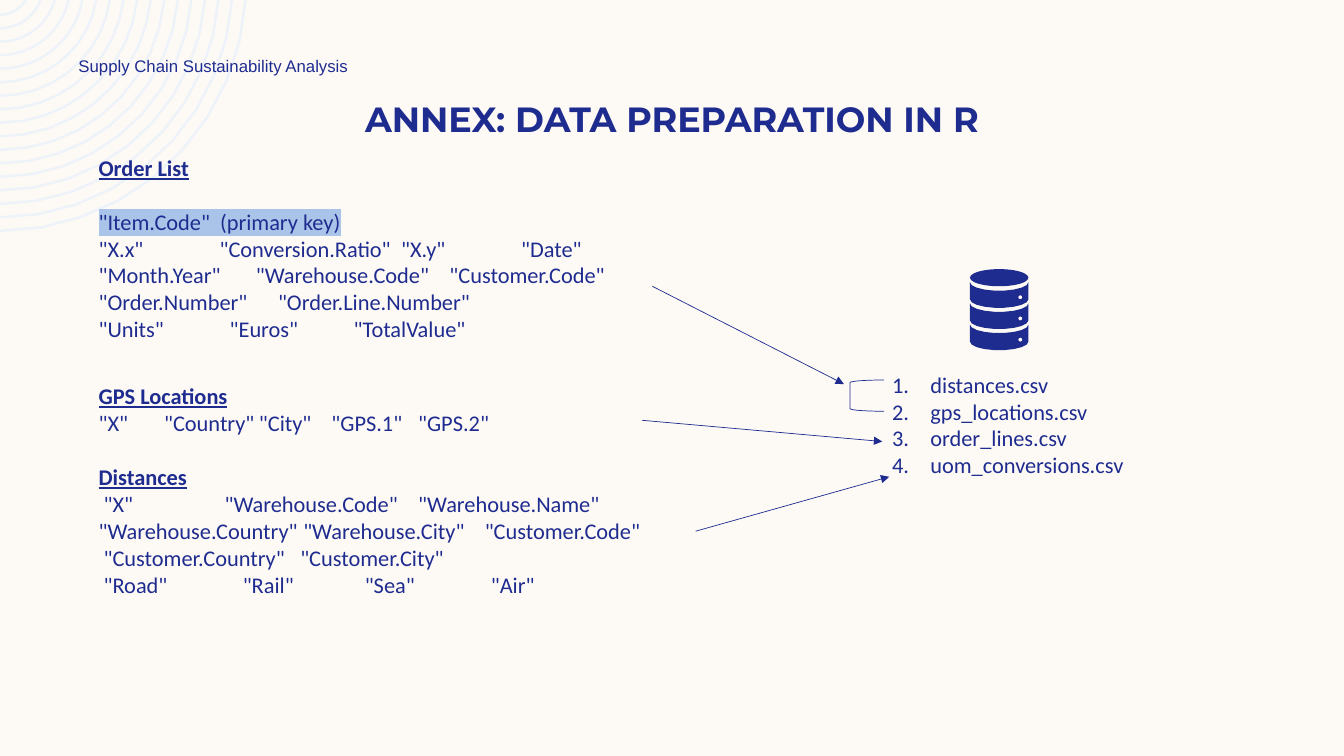
import math

import pptx
import pptx.util
import pptx.dml.color
import pptx.enum.shapes
import pptx.enum.text
import pptx.oxml
from pptx.oxml import ns

Inches, Pt = pptx.util.Inches, pptx.util.Pt
SHAPE = pptx.enum.shapes.MSO_SHAPE
COLORS = {"paper": "FDFAF6", "navy": "1F2C8F", "rings": "EEF3FA", "key": "AAC4E9"}

# Each row: left indent, fields, tab stops for the fields after the first
ORDER_ROWS = [
    (0, ['"Item.Code"  (primary key)'], []),
    (0, ['"X.x"', '"Conversion.Ratio"', '"X.y"', '"Date"'], [1.2, 3, 4.19]),
    (0, ['"Month.Year"', '"Warehouse.Code"', '"Customer.Code"'], [1.56, 3.48]),
    (0, ['"Order.Number"', '"Order.Line.Number"'], [1.78]),
    (0, ['"Units"', '"Euros"', '"TotalValue"'], [1.3, 2.53]),
]
GPS_ROWS = [
    (0, ['"X"', '"Country"', '"City"', '"GPS.1"', '"GPS.2"'], [0.65, 1.59, 2.31, 3.17]),
]
DISTANCE_ROWS = [
    (0.05, ['"X"', '"Warehouse.Code"', '"Warehouse.Name"'], [1.2, 3.12]),
    (0, ['"Warehouse.Country"', '"Warehouse.City"', '"Customer.Code"'], [2.03, 3.83]),
    (0.05, ['"Customer.Country"', '"Customer.City"'], [1.95]),
    (0.05, ['"Road"', '"Rail"', '"Sea"', '"Air"'], [1.38, 2.59, 3.84]),
]
FILES = ["distances.csv", "gps_locations.csv", "order_lines.csv", "uom_conversions.csv"]


def rgb(name):
    return pptx.dml.color.RGBColor.from_string(COLORS[name])


def add_xml(parent, tag, **attrs):
    child = pptx.oxml.parse_xml(f'<a:{tag} {ns.nsdecls("a")}/>')
    for key, value in attrs.items():
        child.set(key, str(value))
    parent.append(child)
    return child


def arc(cx, cy, rx, ry, start, end, steps=9):
    """Points of an elliptical arc, angles in degrees, clockwise on the slide."""
    angles = [math.radians(start + (end - start) * i / steps) for i in range(steps + 1)]
    return [(cx + rx * math.cos(a), cy + ry * math.sin(a)) for a in angles]


def add_outline(s, contours, close):
    contours = [[(Inches(x), Inches(y)) for x, y in c] for c in contours]
    fb = s.shapes.build_freeform(*contours[0][0])
    for i, points in enumerate(contours):
        if i:
            fb.move_to(*points[0])
        fb.add_line_segments(points[1:], close=close)
    return fb.convert_to_shape()


def paint(sp, color):
    sp.shadow.inherit = False
    sp.fill.solid()
    sp.fill.fore_color.rgb = rgb(color)
    sp.line.fill.background()


def stroke(sp, color, width):
    sp.shadow.inherit = False
    sp.fill.background()
    sp.line.color.rgb = rgb(color)
    sp.line.width = Pt(width)


def add_text(s, x, y, w, h):
    tf = s.shapes.add_textbox(Inches(x), Inches(y), Inches(w), Inches(h)).text_frame
    tf.word_wrap = True
    return tf


def set_font(p, name, size, bold=False):
    f = p.font
    f.name, f.size, f.bold = name, Pt(size), bold
    f.color.rgb = rgb("navy")


# Corner rings, around a centre just above the slide corner
def corner_rings(s, cx, cy, outer, step=0.134, count=17):
    radii = [outer - i * step for i in range(count)]
    rings = [arc(cx, cy, r, r, math.degrees(math.asin(-cy / r)), 90) for r in radii]
    stroke(add_outline(s, rings, close=False), "rings", 1.8)


# Running header and title
def header(s, x, y, w, h):
    tf = add_text(s, x, y, w, h)
    tf.vertical_anchor = pptx.enum.text.MSO_ANCHOR.MIDDLE
    p = tf.paragraphs[0]
    p.text = "Supply Chain Sustainability Analysis"
    set_font(p, "Arial", 12)


def title(s, x, y, w, h):
    p = add_text(s, x, y, w, h).paragraphs[0]
    p.text = "ANNEX: DATA PREPARATION IN R"
    p.alignment = pptx.enum.text.PP_ALIGN.CENTER
    set_font(p, "Montserrat", 25, True)


# Underlined heading with the fields of one data set
def field_block(s, x, y, w, h, heading, rows, gap=0, mark_first=False):
    tf = add_text(s, x, y, w, h)
    p = tf.paragraphs[0]
    p.text = heading
    set_font(p, "Calibri", 16, True)
    p.font.underline = True
    for i, (indent, fields, stops) in enumerate(rows):
        p = tf.add_paragraph()
        r = p.add_run()
        r.text = "\t".join(fields)
        pPr = p._p.get_or_add_pPr()
        pPr.set("marL", str(Inches(indent)))
        if i == 0 and gap:
            p.space_before = Pt(gap)
        if stops:
            tabs = add_xml(pPr, "tabLst")
            for stop in stops:
                add_xml(tabs, "tab", pos=Inches(stop), algn="l")
        set_font(p, "Calibri", 16)
        if i == 0 and mark_first:
            mark = add_xml(r._r.get_or_add_rPr(), "highlight")
            add_xml(mark, "srgbClr", val=COLORS["key"])


# Database symbol: a lid and three bands, each with a dot cut out
def database(s, x, y, w, lid=0.17, pitch=0.21):
    rx, ry = w / 2, lid / 2
    cx = x + rx
    paint(s.shapes.add_shape(SHAPE.OVAL, Inches(x), Inches(y), Inches(w), Inches(lid)), "navy")
    for i in range(3):
        top = y + 0.13 + i * pitch
        band = arc(cx, top, rx, ry, 0, 180) + arc(cx, top + 0.17, rx, ry, 180, 0)
        dot = arc(cx + 0.21, top + 0.15, 0.02, 0.02, 0, 320, 8)
        paint(add_outline(s, [band, dot], close=True), "navy")


# Numbered files
def file_list(s, x, y, w, h):
    tf = add_text(s, x, y, w, h)
    for i, name in enumerate(FILES):
        p = tf.add_paragraph() if i else tf.paragraphs[0]
        p.text = name
        pPr = p._p.get_or_add_pPr()
        pPr.set("marL", str(Inches(0.38)))
        pPr.set("indent", str(Inches(-0.38)))
        add_xml(pPr, "buFont", typeface="+mj-lt")
        add_xml(pPr, "buAutoNum", type="arabicPeriod")
        set_font(p, "Calibri", 16)


# Bracket and arrows that tie data sets to files
def bracket(s, x, y, w, h):
    sp = s.shapes.add_shape(SHAPE.LEFT_BRACKET, Inches(x), Inches(y), Inches(w), Inches(h))
    stroke(sp, "navy", 0.5)


def arrow(s, *ends):
    c = s.shapes.add_connector(pptx.enum.shapes.MSO_CONNECTOR.STRAIGHT, *map(Inches, ends))
    c.line.color.rgb = rgb("navy")
    c.line.width = Pt(0.5)
    spPr = c._element.spPr
    add_xml(spPr.get_or_add_ln(), "tailEnd", type="triangle")
    add_xml(spPr, "effectLst")


def main():
    prs = pptx.Presentation()
    prs.slide_width, prs.slide_height = Inches(13.33), Inches(7.5)
    s = prs.slides.add_slide(prs.slide_layouts[6])
    s.background.fill.solid()
    s.background.fill.fore_color.rgb = rgb("paper")

    corner_rings(s, 0, -0.15, 2.44)
    header(s, 0.68, 0.5, 3.5, 0.3)
    title(s, 0.83, 0.92, 11.67, 1)
    field_block(s, 0.88, 1.48, 6.6, 1.99, "Order List", ORDER_ROWS, gap=19.2, mark_first=True)
    field_block(s, 0.88, 3.74, 6.6, 0.64, "GPS Locations", GPS_ROWS)
    field_block(s, 0.88, 4.55, 6.6, 1.45, "Distances", DISTANCE_ROWS)
    database(s, 9.62, 2.67, 0.58)
    file_list(s, 8.75, 3.63, 3.47, 1.18)
    arrow(s, 6.47, 2.84, 8.37, 3.81)
    arrow(s, 6.37, 4.17, 8.75, 4.38)
    arrow(s, 6.9, 5.27, 8.82, 4.73)
    bracket(s, 8.43, 3.77, 0.34, 0.31)
    prs.save("out.pptx")


if __name__ == "__main__":
    main()
